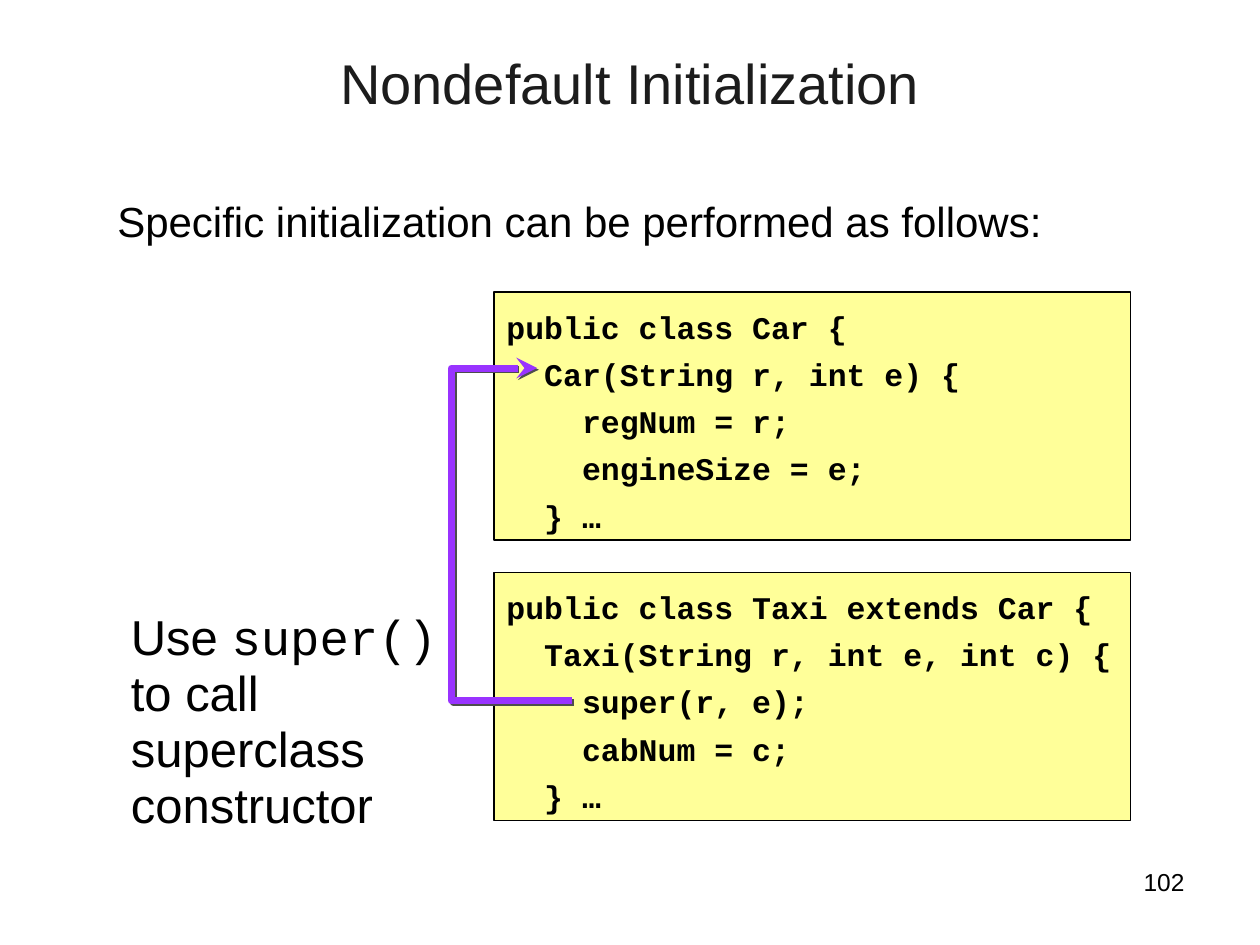
import pptx
import pptx.dml.color
import pptx.enum.shapes
import pptx.enum.text
import pptx.oxml
import pptx.oxml.ns
import pptx.util
from pptx.util import Cm

SUPERCLASS_CODE = """public class Car {
  Car(String r, int e) {
    regNum = r;
    engineSize = e;
  } …"""
SUBCLASS_CODE = """public class Taxi extends Car {
  Taxi(String r, int e, int c) {
    super(r, e);
    cabNum = c;
  } …"""


def color(value):
    """Return the colour for a hex string."""
    return pptx.dml.color.RGBColor.from_string(value)


def format_run(run, size, font="Arial", fill="000000", bold=False):
    """Set the font of one run."""
    run.font.name = font
    run.font.size = pptx.util.Pt(size)
    run.font.bold = bold
    run.font.color.rgb = color(fill)


def place(shape, box):
    """Move a shape to a box of left, top, width and height in centimetres."""
    shape.left, shape.top, shape.width, shape.height = map(Cm, box)


def prepare_frame(shape, anchor=pptx.enum.text.MSO_ANCHOR.TOP):
    """Make the text wrap at a fixed size and return the text frame."""
    frame = shape.text_frame
    frame.word_wrap = True
    frame.auto_size = pptx.enum.text.MSO_AUTO_SIZE.NONE
    frame.vertical_anchor = anchor
    return frame


def fill_title(slide, box, text):
    """Fill the title placeholder."""
    shape = slide.shapes.title
    place(shape, box)
    frame = prepare_frame(shape, pptx.enum.text.MSO_ANCHOR.MIDDLE)
    frame.text = text
    frame.paragraphs[0].alignment = pptx.enum.text.PP_ALIGN.CENTER
    format_run(frame.paragraphs[0].runs[0], 32, fill="1C1C1C")


def fill_introduction(slide, box, text):
    """Fill the body placeholder with one line without a bullet."""
    shape = slide.placeholders[1]
    place(shape, box)
    frame = prepare_frame(shape)
    frame.text = text
    paragraph = frame.paragraphs[0]
    properties = paragraph._p.get_or_add_pPr()
    properties.set("marL", "0")
    properties.set("indent", "0")
    properties.append(pptx.oxml.parse_xml(f"<a:buNone {pptx.oxml.ns.nsdecls('a')}/>"))
    paragraph.space_before = pptx.util.Pt(0)
    format_run(paragraph.runs[0], 24)


def add_code_panel(slide, box, code):
    """Add a yellow panel with a code listing."""
    shape = slide.shapes.add_shape(pptx.enum.shapes.MSO_SHAPE.RECTANGLE, *map(Cm, box))
    shape.shadow.inherit = False
    shape.fill.solid()
    shape.fill.fore_color.rgb = color("FFFF99")
    shape.line.color.rgb = color("000000")
    shape.line.width = pptx.util.Pt(1)
    frame = prepare_frame(shape)
    frame.text = code
    for paragraph in frame.paragraphs:
        paragraph.alignment = pptx.enum.text.PP_ALIGN.LEFT
        paragraph.line_spacing = 1.25
        format_run(paragraph.runs[0], 18, "Courier New", bold=True)


def add_call_arrow(slide, box, start_inset, tip_inset):
    """Add the bent arrow from the super call to the constructor."""
    left, top, width, height = box
    right, bottom = left + width, top + height
    builder = slide.shapes.build_freeform(Cm(right - start_inset), Cm(bottom))
    points = [(left, bottom), (left, top), (right - tip_inset, top)]
    builder.add_line_segments([(Cm(x), Cm(y)) for x, y in points], close=False)
    shape = builder.convert_to_shape()
    shape.fill.background()
    shape.line.color.rgb = color("9933FF")
    shape.line.width = pptx.util.Pt(4)
    namespace = pptx.oxml.ns.nsdecls("a")
    shape.line._get_or_add_ln().append(
        pptx.oxml.parse_xml(f'<a:tailEnd {namespace} type="stealth"/>'))
    shape._element.spPr.append(pptx.oxml.parse_xml(
        f'<a:effectLst {namespace}><a:outerShdw blurRad="0" dist="{pptx.util.Pt(1.4)}" '
        'dir="2700000" algn="ctr" rotWithShape="0"><a:srgbClr val="4D4D4D"/>'
        '</a:outerShdw></a:effectLst>'))


def add_explanation(slide, box, parts):
    """Add the remark made of text and font pairs."""
    frame = prepare_frame(slide.shapes.add_textbox(*map(Cm, box)))
    paragraph = frame.paragraphs[0]
    paragraph.line_spacing = 0.95
    for text, font in parts:
        run = paragraph.add_run()
        run.text = text
        format_run(run, 28, font)


def add_page_number(slide, box, text):
    """Add the page number at the right edge of its box."""
    frame = prepare_frame(slide.shapes.add_textbox(*map(Cm, box)))
    frame.text = text
    frame.paragraphs[0].alignment = pptx.enum.text.PP_ALIGN.RIGHT
    format_run(frame.paragraphs[0].runs[0], 14)


def main():
    """Build the slide and save the presentation."""
    presentation = pptx.Presentation()
    presentation.slide_width, presentation.slide_height = Cm(25.4), Cm(19.05)
    slide = presentation.slides.add_slide(presentation.slide_layouts[1])
    add_page_number(slide, (18.21, 17.35, 5.92, 1.32), "102")
    fill_title(slide, (1.27, 0.76, 22.86, 1.78), "Nondefault Initialization")
    fill_introduction(slide, (2.11, 3.81, 20.93, 1.27),
                      "Specific initialization can be performed as follows:")
    for top, code in ((5.89, SUPERCLASS_CODE), (11.54, SUBCLASS_CODE)):
        add_code_panel(slide, (9.96, top, 12.83, 5), code)
    add_call_arrow(slide, (9.1, 7.42, 2.44, 6.71), 0, 0.71)
    add_explanation(slide, (2.39, 12.19, 7.49, 4.78),
                    (("Use ", "Arial"), ("super()", "Courier New"),
                     (" to call superclass constructor", "Arial")))
    presentation.save("out.pptx")


if __name__ == "__main__":
    main()
